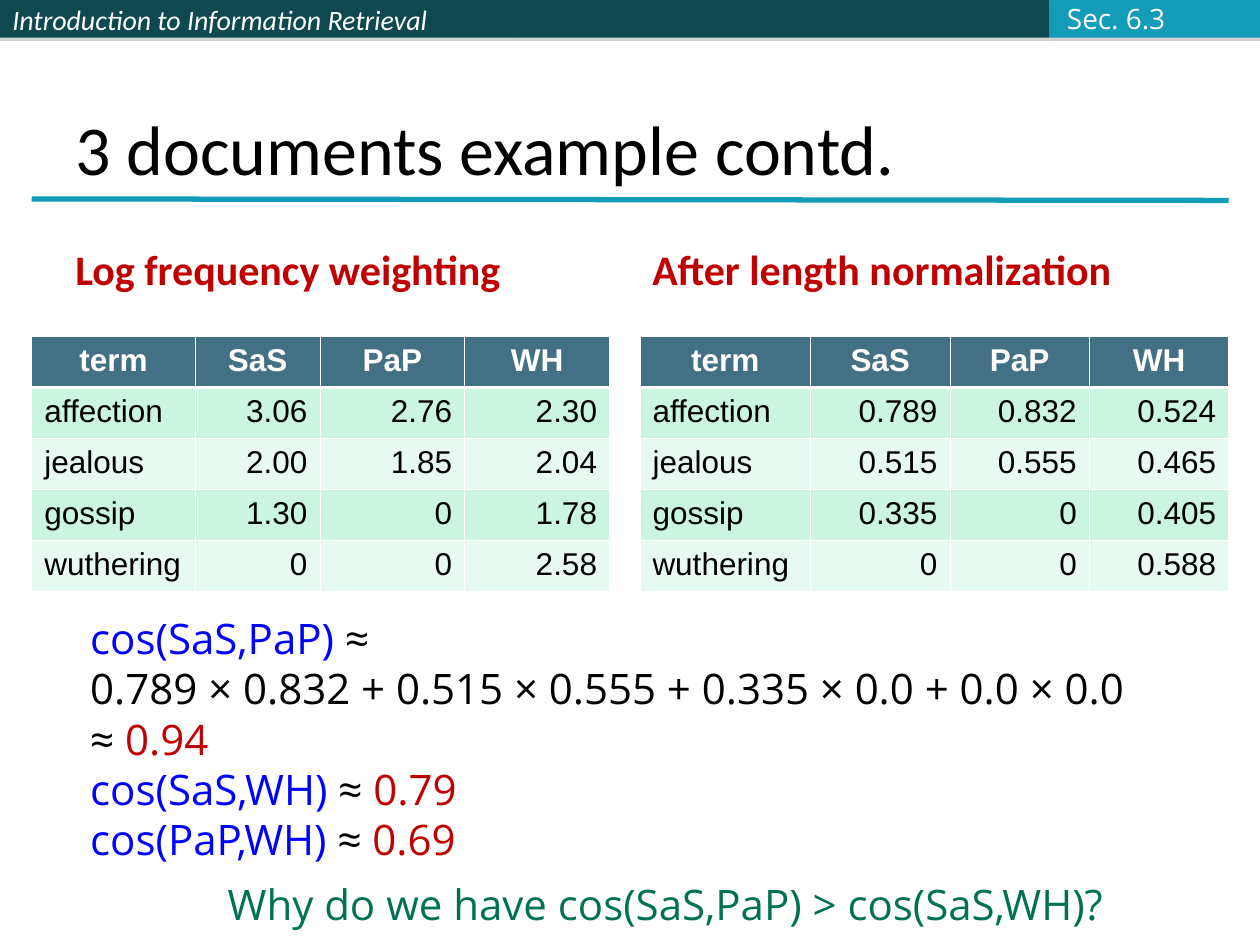
from lxml.etree import SubElement
from pptx import Presentation
from pptx.dml.color import RGBColor
from pptx.enum.shapes import MSO_CONNECTOR, MSO_SHAPE
from pptx.enum.text import MSO_ANCHOR, PP_ALIGN
from pptx.oxml import parse_xml
from pptx.oxml.ns import qn
from pptx.util import Cm, Pt

NAMESPACE = 'xmlns:a="http://schemas.openxmlformats.org/drawingml/2006/main"'
WHITE, BLACK, RED, BLUE = "FFFFFF", "000000", "C00000", "0000FF"
TEAL, DARK_TEAL, GREEN = "139CB7", "0E4851", "007254"
HEADER_FILL, BAND_FILLS = "437085", ("CBF5E1", "E7FAF1")

# Content; lengths are in centimetres
BAR_HEIGHT = 0.76
BARS = [(10.36, DARK_TEAL, "Introduction to Information Retrieval"),
        (10.8, DARK_TEAL, ""),
        (4.24, TEAL, "")]

HEADER = ("term", "SaS", "PaP", "WH")
TERMS = ("affection", "jealous", "gossip", "wuthering")
# heading, heading left, table left, column widths, values
TABLES = [
    ("Log frequency weighting", 1.27, 0.64, (3.3, 2.51, 2.92, 2.92),
     [("3.06", "2.76", "2.30"), ("2.00", "1.85", "2.04"),
      ("1.30", "0", "1.78"), ("0", "0", "2.58")]),
    ("After length normalization", 12.9, 12.9, (3.44, 2.81, 2.81, 2.81),
     [("0.789", "0.832", "0.524"), ("0.515", "0.555", "0.465"),
      ("0.335", "0", "0.405"), ("0", "0", "0.588")]),
]
TABLE_TOP, ROW_HEIGHT = 6.78, 1.03

COSINES = [
    [("cos(SaS,PaP) ", BLUE), ("≈", BLACK)],
    [("0.789 × 0.832 + 0.515 × 0.555 + 0.335 × 0.0 + 0.0 × 0.0", BLACK)],
    [("≈ ", BLACK), ("0.94", RED)],
    [("cos(SaS,WH)", BLUE), (" ≈ ", BLACK), ("0.79", RED)],
    [("cos(PaP,WH) ", BLUE), ("≈ ", BLACK), ("0.69", RED)],
]


def color(value):
    return RGBColor.from_string(value)


def set_font(para, name, size, value=None, bold=False, italic=False):
    font = para.font
    font.name, font.size, font.bold, font.italic = name, Pt(size), bold, italic
    if value:
        font.color.rgb = color(value)


def add_text(page, place, lines, name, size, bold=False,
             anchor=MSO_ANCHOR.TOP, wrap=False):
    """Write lines, each a list of (text, colour) spans."""
    frame = page.shapes.add_textbox(*map(Cm, place)).text_frame
    frame.word_wrap, frame.vertical_anchor = wrap, anchor
    for index, spans in enumerate(lines):
        para = frame.add_paragraph() if index else frame.paragraphs[0]
        set_font(para, name, size, bold=bold)
        for text, value in spans:
            span = para.add_run()
            span.text = text
            span.font.color.rgb = color(value)


def add_bar(page, left, width, fill, text):
    bar = page.shapes.add_shape(MSO_SHAPE.RECTANGLE, Cm(left), 0,
                                Cm(width), Cm(BAR_HEIGHT))
    bar.fill.solid()
    bar.fill.fore_color.rgb = color(fill)
    bar.line.fill.background()
    bar.shadow.inherit = False
    effects = bar._element.spPr.find(qn("a:effectLst"))
    effects.append(parse_xml(
        f'<a:outerShdw {NAMESPACE} blurRad="0" dist="{Pt(1.8)}" dir="5400000"'
        ' rotWithShape="0"><a:srgbClr val="808080"><a:alpha val="35000"/>'
        '</a:srgbClr></a:outerShdw>'))
    if text:
        bar.text_frame.vertical_anchor = MSO_ANCHOR.MIDDLE
        para = bar.text_frame.paragraphs[0]
        para.text, para.alignment = text, PP_ALIGN.LEFT
        set_font(para, "Calibri", 16, WHITE, italic=True)


def set_borders(cell, row):
    for side in "LRTB":
        thick = (row, side) in ((0, "B"), (1, "T"))
        cell._tc.get_or_add_tcPr().append(parse_xml(
            f'<a:ln{side} {NAMESPACE} w="{Pt(1.47 if thick else 0.45)}">'
            f'<a:solidFill><a:srgbClr val="{WHITE}"/></a:solidFill>'
            f'</a:ln{side}>'))


def add_weights(page, left, widths, values):
    rows = [HEADER] + [(term, *line) for term, line in zip(TERMS, values)]
    table = page.shapes.add_table(
        len(rows), len(HEADER), Cm(left), Cm(TABLE_TOP),
        Cm(sum(widths)), Cm(ROW_HEIGHT * len(rows))).table
    for column, width in zip(table.columns, widths):
        column.width = Cm(width)
    for r, row in enumerate(rows):
        table.rows[r].height = Cm(ROW_HEIGHT)
        for c, text in enumerate(row):
            cell = table.cell(r, c)
            set_borders(cell, r)
            cell.fill.solid()
            cell.fill.fore_color.rgb = color(
                BAND_FILLS[(r - 1) % 2] if r else HEADER_FILL)
            para = cell.text_frame.paragraphs[0]
            para.text = text
            if r == 0:
                para.alignment = PP_ALIGN.CENTER
            else:
                para.alignment = PP_ALIGN.RIGHT if c else PP_ALIGN.LEFT
            set_font(para, "Arial", 18, BLACK if r else WHITE, bold=r == 0)


def main():
    deck = Presentation()
    deck.slide_width, deck.slide_height = Cm(25.4), Cm(19.05)
    page = deck.slides.add_slide(deck.slide_layouts[6])

    # Top bars, side by side
    left = 0
    for width, fill, text in BARS:
        add_bar(page, left, width, fill, text)
        left += width

    # Title and its rule
    rule = page.shapes.add_connector(MSO_CONNECTOR.STRAIGHT, Cm(0.64), Cm(4.01),
                                     Cm(24.77), Cm(4.04))
    rule.line.color.rgb, rule.line.width = color(TEAL), Pt(3)
    SubElement(rule._element.spPr, qn("a:effectLst"))
    add_text(page, (1.27, 0.76, 22.86, 3.18),
             [[("3 documents example contd.", BLACK)]], "Calibri", 40,
             anchor=MSO_ANCHOR.BOTTOM, wrap=True)

    # Headed tables
    for heading, heading_left, table_left, widths, values in TABLES:
        add_text(page, (heading_left, 4.27, 11.23, 1.78), [[(heading, RED)]],
                 "Calibri", 24, bold=True, anchor=MSO_ANCHOR.BOTTOM, wrap=True)
        add_weights(page, table_left, widths, values)

    # Similarities, question and section number
    add_text(page, (1.57, 12.22, 21.39, 5.33), COSINES, "Open Sans", 24)
    add_text(page, (4.34, 17.58, 18.34, 1.27),
             [[("Why do we have cos(SaS,PaP) > cos(SaS,WH)?", GREEN)]],
             "Open Sans", 24)
    add_text(page, (21.26, -0.1, 2.49, 0.94), [[("Sec. 6.3", "FBFCFF")]],
             "Open Sans", 16, anchor=MSO_ANCHOR.MIDDLE)

    deck.save("out.pptx")


if __name__ == "__main__":
    main()
